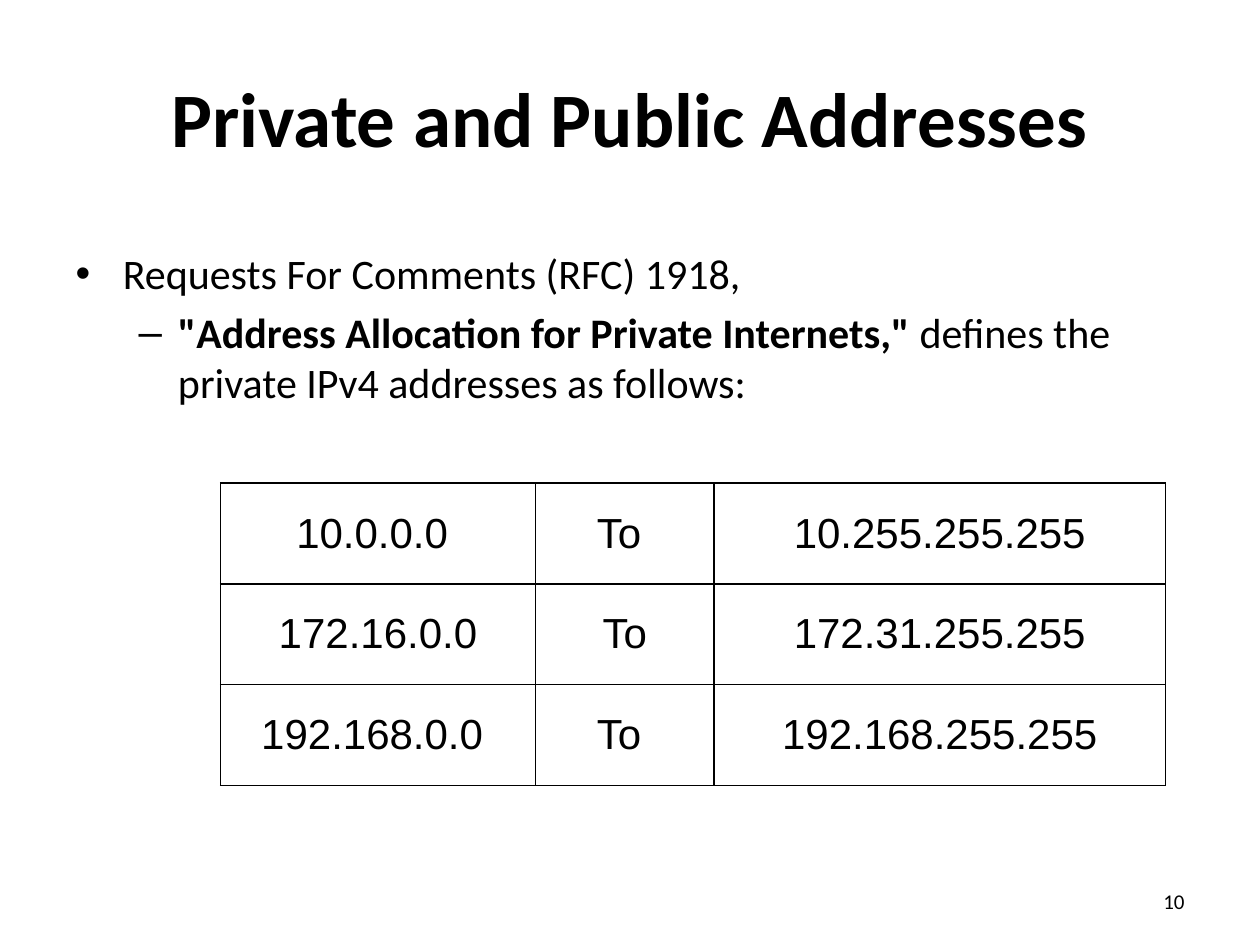
from dataclasses import dataclass

from lxml.etree import SubElement
from pptx import Presentation
from pptx.dml.color import RGBColor
from pptx.enum.text import MSO_ANCHOR, MSO_AUTO_SIZE, PP_ALIGN
from pptx.oxml.ns import qn
from pptx.util import Pt

BLACK = "000000"
WHITE = "FFFFFF"


@dataclass(frozen=True)
class Run:
    text: str
    size: float
    font: str = "Calibri"
    bold: bool = False


@dataclass(frozen=True)
class Bullet:
    runs: tuple[Run, ...]
    level: int
    margin: float
    hanging: float
    before: float


BULLETS = (
    Bullet((Run("Requests For Comments (RFC) 1918,", 24),), 0, 27, 27, 0),
    Bullet(
        (
            Run('"Address Allocation for Private Internets,"', 24, bold=True),
            Run(" defines the private IPv4 addresses as follows:", 24),
        ),
        1, 58.5, 22.5, 4.8,
    ),
)
RANGES = (
    ("10.0.0.0 ", "To ", "10.255.255.255"),
    ("172.16.0.0", "To", "172.31.255.255"),
    ("192.168.0.0 ", "To ", "192.168.255.255"),
)
COLUMN_WIDTHS = (180, 102, 258)
ROW_HEIGHT = 57.6


def color(value: str) -> RGBColor:
    return RGBColor.from_string(value)


def place(sp, left: float, top: float, width: float, height: float) -> None:
    sp.left, sp.top, sp.width, sp.height = map(Pt, (left, top, width, height))


def add_run(p, run: Run) -> None:
    r = p.add_run()
    r.text = run.text
    r.font.size = Pt(run.size)
    r.font.name = run.font
    r.font.bold = run.bold
    r.font.color.rgb = color(BLACK)


def add_bullet(p, bullet: Bullet) -> None:
    p.level = bullet.level
    p.space_before = Pt(bullet.before)
    pPr = p._p.get_or_add_pPr()
    pPr.set("marL", str(Pt(bullet.margin)))
    pPr.set("indent", str(-Pt(bullet.hanging)))
    for run in bullet.runs:
        add_run(p, run)


def add_borders(cell) -> None:
    tcPr = cell._tc.get_or_add_tcPr()
    for side in ("a:lnL", "a:lnR", "a:lnT", "a:lnB"):
        ln = SubElement(tcPr, qn(side), w=str(Pt(1)))
        fill = SubElement(ln, qn("a:solidFill"))
        SubElement(fill, qn("a:srgbClr"), val=BLACK)


def fill_cell(cell, text: str) -> None:
    add_borders(cell)
    cell.fill.solid()
    cell.fill.fore_color.rgb = color(WHITE)
    cell.vertical_anchor = MSO_ANCHOR.MIDDLE
    p = cell.text_frame.paragraphs[0]
    p.alignment = PP_ALIGN.CENTER
    add_run(p, Run(text, 24, "Arial"))


def add_title(s) -> None:
    sp = s.shapes.title
    place(sp, 36, 21.6, 648, 90)
    tf = sp.text_frame
    tf.auto_size = MSO_AUTO_SIZE.NONE
    tf.vertical_anchor = MSO_ANCHOR.MIDDLE
    p = tf.paragraphs[0]
    p.alignment = PP_ALIGN.CENTER
    add_run(p, Run("Private and Public Addresses", 44, bold=True))


def add_body(s) -> None:
    sp = s.placeholders[1]
    place(sp, 36, 138, 648, 162)
    tf = sp.text_frame
    tf.auto_size = MSO_AUTO_SIZE.NONE
    for i, bullet in enumerate(BULLETS):
        add_bullet(tf.add_paragraph() if i else tf.paragraphs[0], bullet)


def add_ranges(s) -> None:
    table = s.shapes.add_table(
        len(RANGES), len(COLUMN_WIDTHS), Pt(126), Pt(276),
        Pt(sum(COLUMN_WIDTHS)), Pt(ROW_HEIGHT * len(RANGES)),
    ).table
    table.first_row = table.horz_banding = False
    for column, width in zip(table.columns, COLUMN_WIDTHS):
        column.width = Pt(width)
    for row, texts in zip(table.rows, RANGES):
        row.height = Pt(ROW_HEIGHT)
        for cell, text in zip(row.cells, texts):
            fill_cell(cell, text)


def add_page_number(s) -> None:
    tf = s.shapes.add_textbox(Pt(516), Pt(500.5), Pt(168), Pt(28.8)).text_frame
    tf.word_wrap = True
    tf.vertical_anchor = MSO_ANCHOR.MIDDLE
    p = tf.paragraphs[0]
    p.alignment = PP_ALIGN.RIGHT
    add_run(p, Run("10", 12))


def main() -> None:
    prs = Presentation()
    prs.slide_width, prs.slide_height = Pt(720), Pt(540)
    s = prs.slides.add_slide(prs.slide_layouts[1])
    add_title(s)
    add_body(s)
    add_page_number(s)
    add_ranges(s)
    prs.save("out.pptx")


if __name__ == "__main__":
    main()
